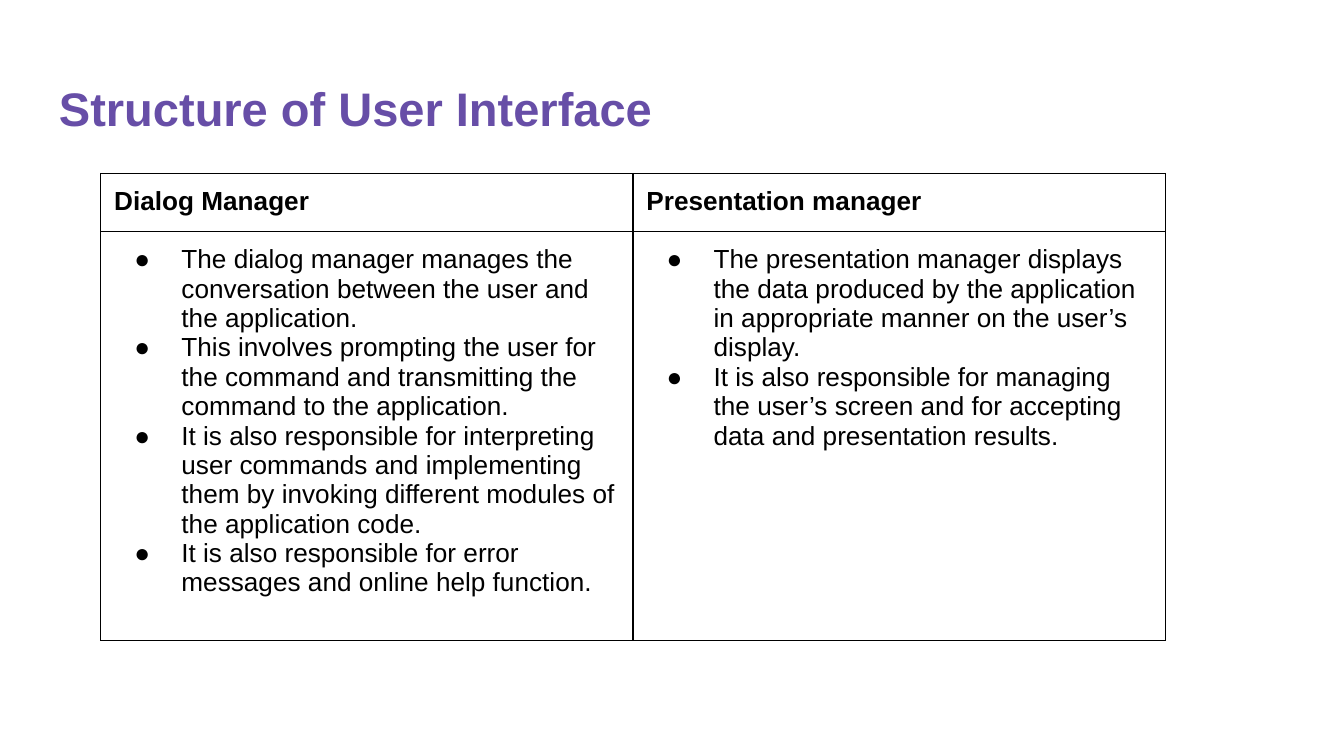
from dataclasses import dataclass

import lxml.etree
import pptx
import pptx.dml.color
import pptx.enum.text
import pptx.oxml.ns
import pptx.util
from pptx.util import Inches

FONT = "Arial"
PURPLE = pptx.dml.color.RGBColor(0x67, 0x4E, 0xA7)
BLACK = pptx.dml.color.RGBColor(0, 0, 0)
SLIDE_WIDTH = Inches(10)
SLIDE_HEIGHT = SLIDE_WIDTH * 9 // 16
PADDING = Inches(0.1)
BORDER_WIDTH = pptx.util.Pt(0.75)
COLUMN_WIDTH = Inches(3.96)
ROW_HEIGHTS = (Inches(5 / 12), Inches(3.04))


@dataclass(frozen=True)
class Component:
    heading: str
    duties: tuple[str, ...]


COMPONENTS = (
    Component("Dialog Manager", (
        "The dialog manager manages the conversation between the user and the application.",
        "This involves prompting the user for the command and transmitting the command "
        "to the application.",
        "It is also responsible for interpreting user commands and implementing them by "
        "invoking different modules of the application code.",
        "It is also responsible for error messages and online help function.",
    )),
    Component("Presentation manager", (
        "The presentation manager displays the data produced by the application in "
        "appropriate manner on the user’s display.",
        "It is also responsible for managing the user’s screen and for accepting data "
        "and presentation results.",
    )),
)


def add_child(parent, tag: str, **attributes: str):
    child = lxml.etree.SubElement(parent, pptx.oxml.ns.qn(tag))
    for name, value in attributes.items():
        child.set(name, value)
    return child


def add_run(paragraph, text: str, size: float, color=BLACK, bold: bool = False) -> None:
    run = paragraph.add_run()
    run.text = text
    run.font.name = FONT
    run.font.size = pptx.util.Pt(size)
    run.font.bold = bold
    run.font.color.rgb = color


def add_bullet(paragraph) -> None:
    properties = paragraph._p.get_or_add_pPr()
    properties.set("marL", str(Inches(0.5)))
    properties.set("indent", str(-Inches(0.35)))
    bullet_color = add_child(properties, "a:buClr")
    add_child(bullet_color, "a:srgbClr", val=str(BLACK))
    add_child(properties, "a:buSzPct", val="100000")
    add_child(properties, "a:buFont", typeface=FONT)
    add_child(properties, "a:buChar", char="●")


def set_padding(container) -> None:
    container.margin_left = container.margin_right = PADDING
    container.margin_top = container.margin_bottom = PADDING


def style_cell(cell) -> None:
    """Pad the cell and give it black borders and no fill."""
    set_padding(cell)
    cell.vertical_anchor = pptx.enum.text.MSO_ANCHOR.TOP
    properties = cell._tc.get_or_add_tcPr()
    for side in ("a:lnL", "a:lnR", "a:lnT", "a:lnB"):
        border = add_child(properties, side, w=str(BORDER_WIDTH))
        add_child(add_child(border, "a:solidFill"), "a:srgbClr", val=str(BLACK))
    cell.fill.background()


def add_title(slide, text: str) -> None:
    title = slide.shapes.add_textbox(Inches(0.34), Inches(0.49), Inches(9.32), Inches(0.63))
    frame = title.text_frame
    frame.word_wrap = True
    set_padding(frame)
    add_run(frame.paragraphs[0], text, 25.2, PURPLE, bold=True)


def add_comparison(slide, components: tuple[Component, ...]) -> None:
    table = slide.shapes.add_table(
        len(ROW_HEIGHTS), len(components), Inches(0.75), Inches(1.29),
        COLUMN_WIDTH * len(components), sum(ROW_HEIGHTS),
    ).table
    table.horz_banding = False
    table.first_row = False
    for row, height in zip(table.rows, ROW_HEIGHTS):
        row.height = height
    for index, component in enumerate(components):
        table.columns[index].width = COLUMN_WIDTH
        heading, body = table.cell(0, index), table.cell(1, index)
        style_cell(heading)
        style_cell(body)
        add_run(heading.text_frame.paragraphs[0], component.heading, 14, bold=True)
        for position, duty in enumerate(component.duties):
            frame = body.text_frame
            paragraph = frame.add_paragraph() if position else frame.paragraphs[0]
            add_bullet(paragraph)
            add_run(paragraph, duty, 14)


def main() -> None:
    presentation = pptx.Presentation()
    presentation.slide_width = SLIDE_WIDTH
    presentation.slide_height = SLIDE_HEIGHT
    slide = presentation.slides.add_slide(presentation.slide_layouts[6])
    add_title(slide, "Structure of User Interface")
    add_comparison(slide, COMPONENTS)
    presentation.save("out.pptx")


if __name__ == "__main__":
    main()
